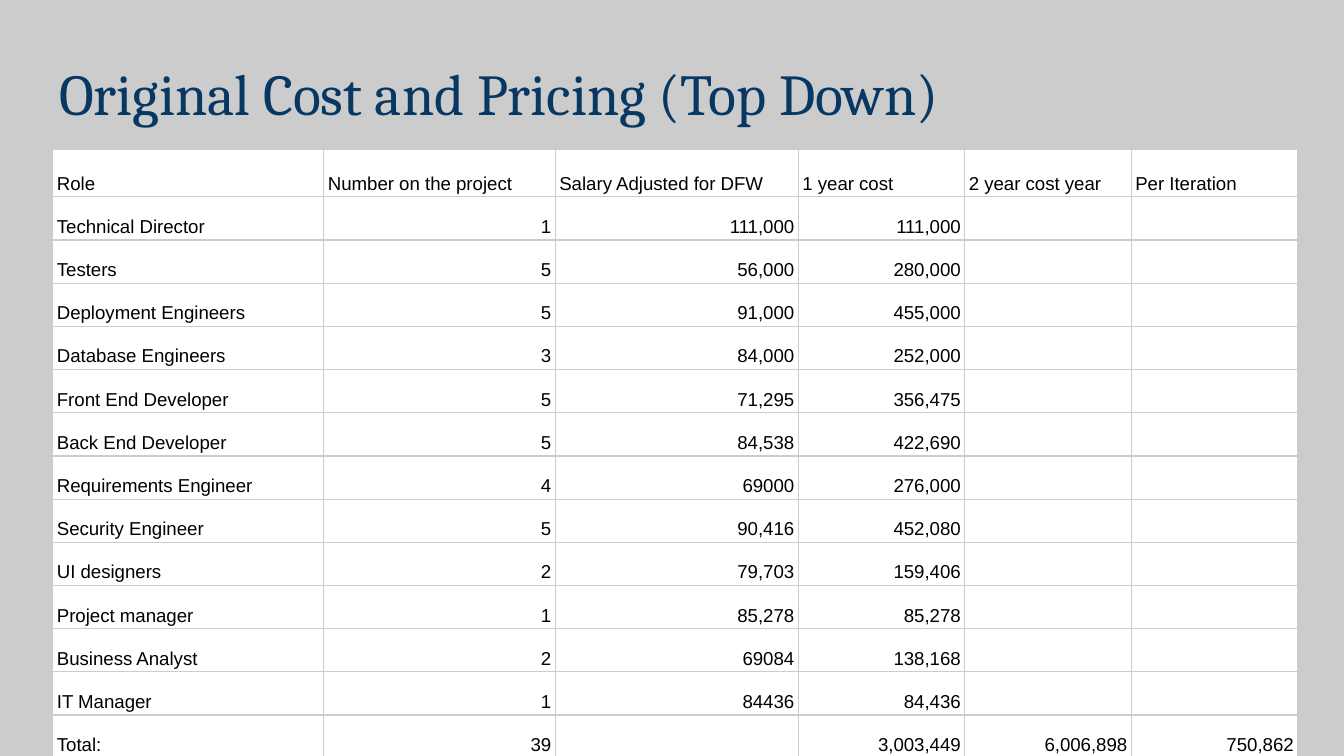
"""Build the top-down cost and pricing slide."""
from dataclasses import dataclass

from lxml.etree import SubElement
from pptx import Presentation
from pptx.dml.color import RGBColor
from pptx.enum.text import MSO_ANCHOR, MSO_AUTO_SIZE, PP_ALIGN
from pptx.oxml.ns import qn
from pptx.slide import Slide
from pptx.table import _Cell
from pptx.text.text import _Paragraph
from pptx.util import Pt


@dataclass(frozen=True)
class Theme:
    background: str = "CCCCCC"
    border: str = "CCCCCC"
    cell: str = "FFFFFF"
    title: str = "073763"
    text: str = "000000"
    title_font: str = "Cambria"
    text_font: str = "Arial"
    title_size: float = 31
    text_size: float = 10
    border_width: float = 0.75


@dataclass(frozen=True)
class CostRow:
    role: str
    number: str
    salary: str = ""
    one_year: str = ""
    two_years: str = ""
    iteration: str = ""

    def values(self) -> tuple[str, ...]:
        """Return the cell texts from left to right."""
        return (self.role, self.number, self.salary,
                self.one_year, self.two_years, self.iteration)


THEME = Theme()
COLUMN_WIDTHS = (145.2, 124, 130.2, 89.2, 89.2, 89.2)
HEADER_HEIGHT = 25.3
ROW_HEIGHT = 23.14
COST_ROWS = (
    CostRow("Role", "Number on the project", "Salary Adjusted for DFW",
            "1 year cost", "2 year cost year", "Per Iteration"),
    CostRow("Technical Director", "1", "111,000", "111,000"),
    CostRow("Testers", "5", "56,000", "280,000"),
    CostRow("Deployment Engineers", "5", "91,000", "455,000"),
    CostRow("Database Engineers", "3", "84,000", "252,000"),
    CostRow("Front End Developer", "5", "71,295", "356,475"),
    CostRow("Back End Developer", "5", "84,538", "422,690"),
    CostRow("Requirements Engineer", "4", "69000", "276,000"),
    CostRow("Security Engineer", "5", "90,416", "452,080"),
    CostRow("UI designers", "2", "79,703", "159,406"),
    CostRow("Project manager", "1", "85,278", "85,278"),
    CostRow("Business Analyst", "2", "69084", "138,168"),
    CostRow("IT Manager", "1", "84436", "84,436"),
    CostRow("Total:", "39", "", "3,003,449", "6,006,898", "750,862"),
)


def add_run(paragraph: _Paragraph, text: str, font: str, size: float, color: str) -> None:
    """Add one formatted run to a paragraph."""
    run = paragraph.add_run()
    run.text = text
    run.font.name = font
    run.font.size = Pt(size)
    run.font.color.rgb = RGBColor.from_string(color)


def draw_title(slide: Slide, text: str) -> None:
    """Place and fill the title placeholder."""
    title = slide.shapes.title
    title.left, title.top, title.width, title.height = Pt(24.5), Pt(23.8), Pt(671), Pt(45.4)
    frame = title.text_frame
    frame.word_wrap = True
    frame.auto_size = MSO_AUTO_SIZE.NONE
    frame.vertical_anchor = MSO_ANCHOR.TOP
    frame.margin_left = frame.margin_right = Pt(7.2)
    frame.margin_top = frame.margin_bottom = Pt(7.2)
    paragraph = frame.paragraphs[0]
    paragraph.alignment = PP_ALIGN.LEFT
    add_run(paragraph, text, THEME.title_font, THEME.title_size, THEME.title)


def draw_borders(cell: _Cell) -> None:
    """Give a cell the same thin line on all four sides."""
    properties = cell._tc.get_or_add_tcPr()
    for position, side in enumerate(("a:lnL", "a:lnR", "a:lnT", "a:lnB")):
        line = SubElement(properties, qn(side), w=str(Pt(THEME.border_width)))
        fill = SubElement(line, qn("a:solidFill"))
        SubElement(fill, qn("a:srgbClr"), val=THEME.border)
        properties.insert(position, line)


def draw_cell(cell: _Cell, text: str, alignment: PP_ALIGN) -> None:
    """Format a cell and write its text, keeping an empty cell at the text size."""
    cell.fill.solid()
    cell.fill.fore_color.rgb = RGBColor.from_string(THEME.cell)
    draw_borders(cell)
    cell.vertical_anchor = MSO_ANCHOR.BOTTOM
    cell.margin_left = cell.margin_right = Pt(2.2)
    cell.margin_top = cell.margin_bottom = Pt(1.4)
    paragraph = cell.text_frame.paragraphs[0]
    if text:
        paragraph.alignment = alignment
        paragraph.line_spacing = 1.15
        add_run(paragraph, text, THEME.text_font, THEME.text_size, THEME.text)
    else:
        SubElement(paragraph._p, qn("a:endParaRPr"), sz=str(THEME.text_size * 100))


def draw_cost_table(slide: Slide, rows: tuple[CostRow, ...]) -> None:
    """Draw the cost table with a header row."""
    height = HEADER_HEIGHT + ROW_HEIGHT * (len(rows) - 1)
    frame = slide.shapes.add_table(len(rows), len(COLUMN_WIDTHS), Pt(28.3), Pt(80.2),
                                   Pt(sum(COLUMN_WIDTHS)), Pt(height))
    table = frame.table
    table.horz_banding = False
    table.first_row = False
    for column, width in zip(table.columns, COLUMN_WIDTHS):
        column.width = Pt(width)
    for row_index, cost_row in enumerate(rows):
        table.rows[row_index].height = Pt(ROW_HEIGHT if row_index else HEADER_HEIGHT)
        for column_index, text in enumerate(cost_row.values()):
            numeric = row_index > 0 and column_index > 0
            draw_cell(table.cell(row_index, column_index), text,
                      PP_ALIGN.RIGHT if numeric else PP_ALIGN.LEFT)


def main() -> None:
    """Build and save the presentation."""
    presentation = Presentation()
    presentation.slide_width, presentation.slide_height = Pt(720), Pt(405)
    slide = presentation.slides.add_slide(presentation.slide_layouts.get_by_name("Title Only"))
    slide.background.fill.solid()
    slide.background.fill.fore_color.rgb = RGBColor.from_string(THEME.background)
    draw_title(slide, "Original Cost and Pricing (Top Down)")
    draw_cost_table(slide, COST_ROWS)
    presentation.save("out.pptx")


if __name__ == "__main__":
    main()
